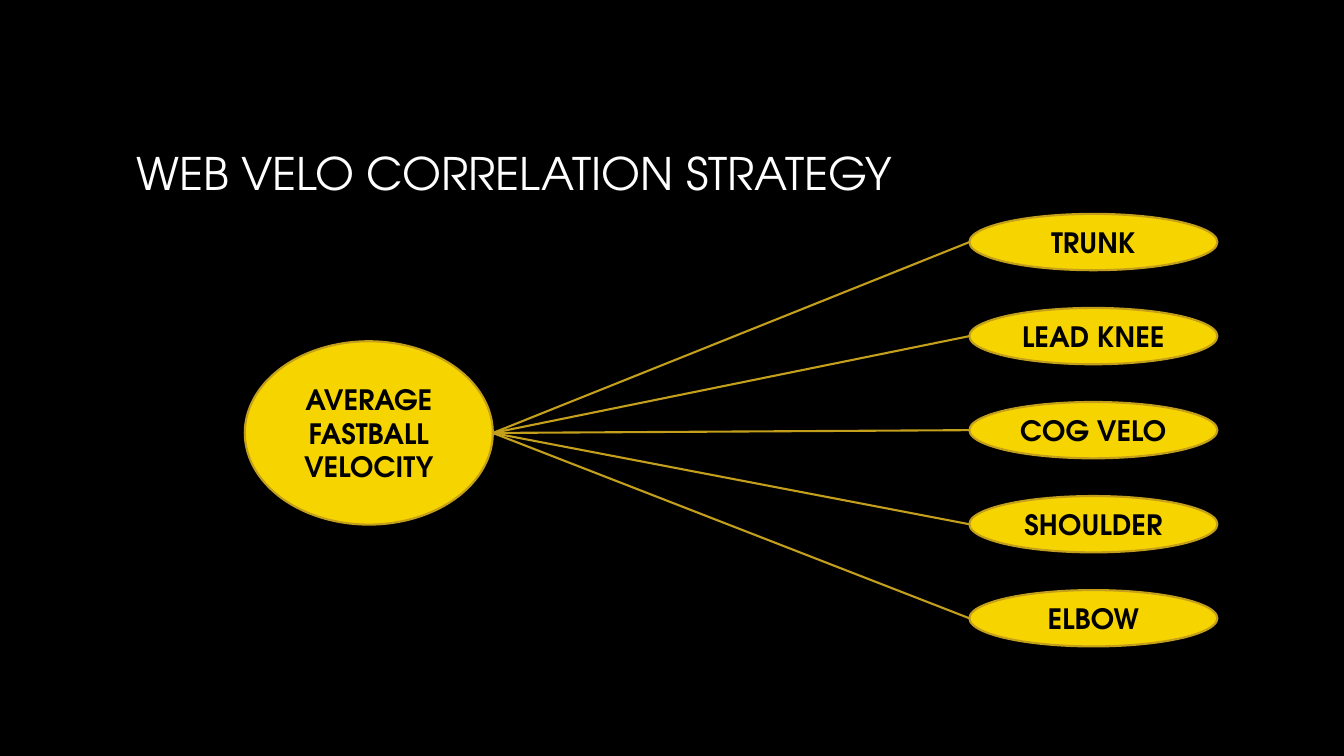
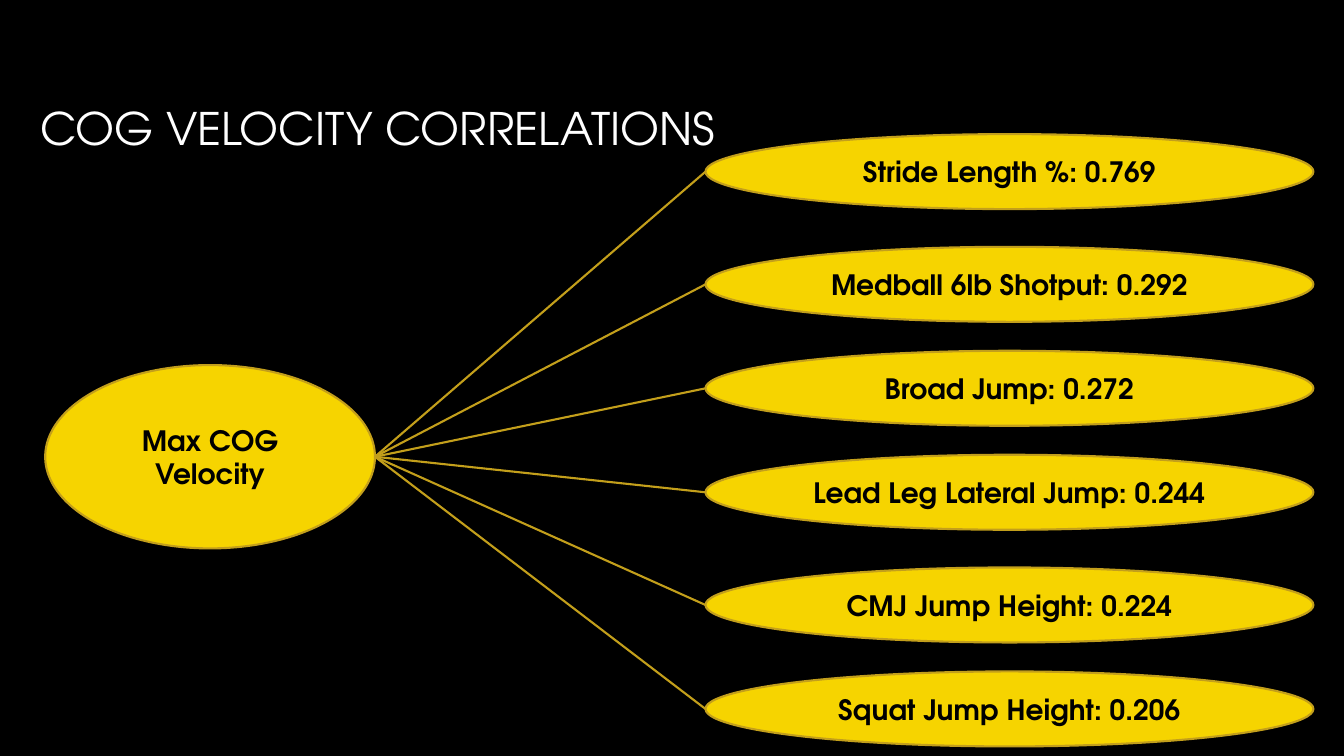
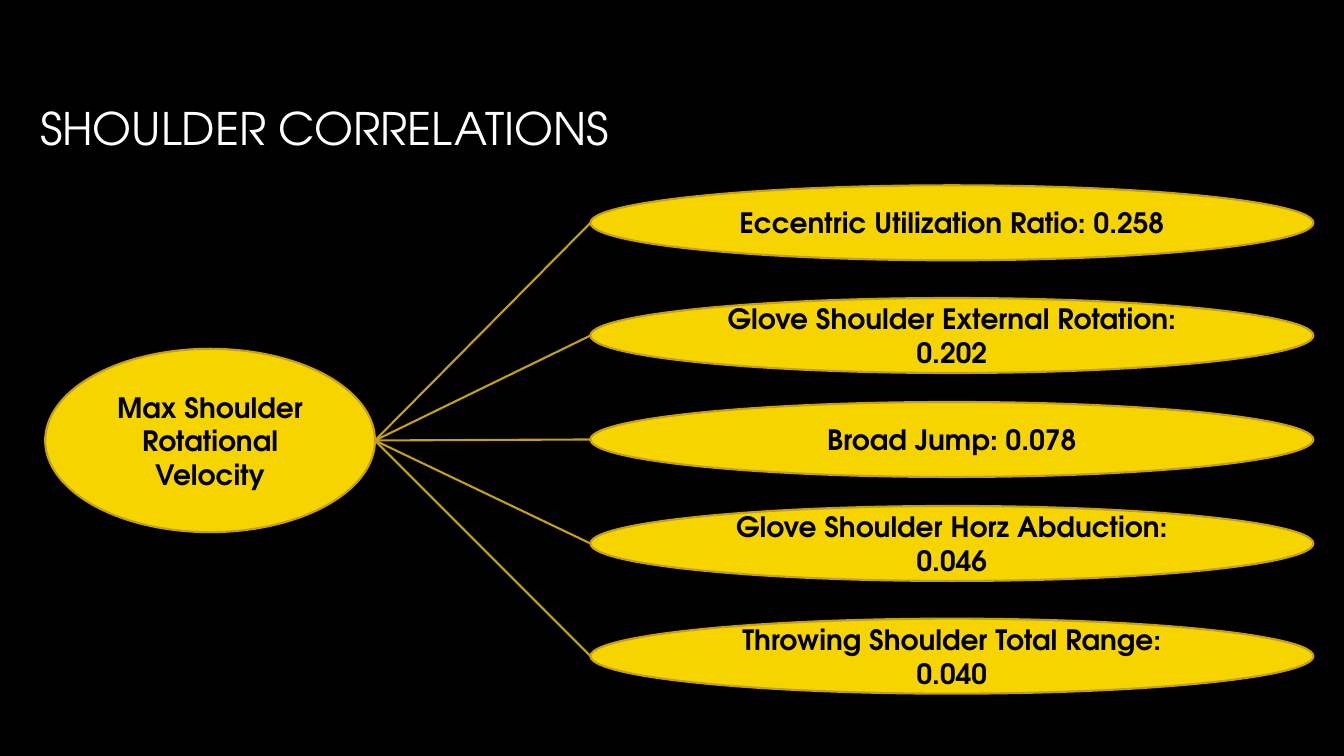
"""Build three hub-and-branch slides on pitching velocity correlations."""
from dataclasses import dataclass
from itertools import accumulate

from lxml import etree
from pptx import Presentation
from pptx.dml.color import RGBColor
from pptx.enum.shapes import MSO_CONNECTOR, MSO_SHAPE
from pptx.enum.text import MSO_ANCHOR, PP_ALIGN
from pptx.oxml.ns import qn
from pptx.util import Cm, Pt

OVAL = MSO_SHAPE.FLOWCHART_CONNECTOR
STRAIGHT = MSO_CONNECTOR.STRAIGHT
MIDDLE = MSO_ANCHOR.MIDDLE
LEFT = PP_ALIGN.LEFT
CENTER = PP_ALIGN.CENTER
BLANK_LAYOUT = 6
OVAL_LEFT_SITE = 2
OVAL_RIGHT_SITE = 6


@dataclass(frozen=True)
class Theme:
    font: str = "TeX Gyre Adventor"
    background: RGBColor = RGBColor(0x00, 0x00, 0x00)
    title: RGBColor = RGBColor(0xFF, 0xFF, 0xFF)
    oval: RGBColor = RGBColor(0xF6, 0xD4, 0x00)
    outline: RGBColor = RGBColor(0xC3, 0x9F, 0x1B)
    label: RGBColor = RGBColor(0x00, 0x00, 0x00)
    title_size: Pt = Pt(32)
    label_size: Pt = Pt(20)
    line_width: Pt = Pt(1.5)


@dataclass(frozen=True)
class Box:
    left: float
    top: float
    width: float
    height: float

    def lengths(self) -> tuple[Cm, Cm, Cm, Cm]:
        return Cm(self.left), Cm(self.top), Cm(self.width), Cm(self.height)


@dataclass(frozen=True)
class Diagram:
    title: str
    title_left: float
    title_top: float
    hub: str
    hub_box: Box
    branches: tuple[str, ...]
    first_branch: Box
    steps: tuple[float, ...]


THEME = Theme()
EVEN_STEPS = (2.37,) * 4
RESULT_STEPS = (2.84, 2.62, 2.62, 2.84, 2.62)

DIAGRAMS = (
    Diagram(
        "WEB VELO CORRELATION STRATEGY", 3.18, 1.7,
        "AVERAGE FASTBALL\nVELOCITY", Box(6.17, 8.6, 6.25, 4.62),
        ("TRUNK", "LEAD KNEE", "COG VELO", "SHOULDER", "ELBOW"),
        Box(24.43, 5.39, 6.25, 1.42), EVEN_STEPS,
    ),
    Diagram(
        "COG VELOCITY CORRELATIONS", 0.76, 0.58,
        "Max COG Velocity", Box(1.14, 9.2, 8.31, 4.62),
        (
            "Stride Length %: 0.769",
            "Medball 6lb Shotput: 0.292",
            "Broad Jump: 0.272",
            "Lead Leg Lateral Jump: 0.244",
            "CMJ Jump Height: 0.224",
            "Squat Jump Height: 0.206",
        ),
        Box(17.78, 3.38, 15.32, 1.89), RESULT_STEPS,
    ),
    Diagram(
        "SHOULDER CORRELATIONS", 0.76, 0.58,
        "Max Shoulder Rotational Velocity", Box(1.14, 8.79, 8.31, 4.62),
        (
            "Eccentric Utilization Ratio: 0.258",
            "Glove Shoulder External Rotation: 0.202",
            "Broad Jump: 0.078",
            "Glove Shoulder Horz Abduction: 0.046",
            "Throwing Shoulder Total Range: 0.040",
        ),
        Box(14.88, 4.67, 18.22, 1.89), RESULT_STEPS,
    ),
)


def write_text(sp, text: str, size: Pt, color: RGBColor, bold: bool, align) -> None:
    tf = sp.text_frame
    tf.text = text
    tf.word_wrap = True
    tf.vertical_anchor = MIDDLE
    for p in tf.paragraphs:
        p.alignment = align
        for r in p.runs:
            r.font.name = THEME.font
            r.font.size = size
            r.font.bold = bold
            r.font.color.rgb = color


def style_line(line) -> None:
    line.color.rgb = THEME.outline
    line.width = THEME.line_width


def add_title(s, text: str, left: float, top: float) -> None:
    sp = s.shapes.add_textbox(*Box(left, top, 27.51, 5.28).lengths())
    write_text(sp, text, THEME.title_size, THEME.title, False, LEFT)


def add_oval(s, text: str, box: Box):
    sp = s.shapes.add_shape(OVAL, *box.lengths())
    sp.shadow.inherit = False
    sp.fill.solid()
    sp.fill.fore_color.rgb = THEME.oval
    style_line(sp.line)
    write_text(sp, text, THEME.label_size, THEME.label, True, CENTER)
    return sp


def add_link(s, hub, branch) -> None:
    link = s.shapes.add_connector(
        STRAIGHT,
        hub.left + hub.width, hub.top + hub.height // 2,
        branch.left, branch.top + branch.height // 2,
    )
    style_line(link.line)
    etree.SubElement(link._element.spPr, qn("a:effectLst"))
    ends = link._element.nvCxnSpPr.cNvCxnSpPr
    for tag, oval, site in (
        ("a:stCxn", hub, OVAL_RIGHT_SITE),
        ("a:endCxn", branch, OVAL_LEFT_SITE),
    ):
        etree.SubElement(ends, qn(tag), id=str(oval.shape_id), idx=str(site))


def add_diagram(prs, diagram: Diagram) -> None:
    s = prs.slides.add_slide(prs.slide_layouts[BLANK_LAYOUT])
    add_title(s, diagram.title, diagram.title_left, diagram.title_top)
    hub = add_oval(s, diagram.hub, diagram.hub_box)
    first = diagram.first_branch
    tops = accumulate(diagram.steps, initial=first.top)
    branches = [
        add_oval(s, text, Box(first.left, top, first.width, first.height))
        for text, top in zip(diagram.branches, tops)
    ]
    for branch in branches:
        add_link(s, hub, branch)


def main() -> None:
    prs = Presentation()
    prs.slide_width, prs.slide_height = Cm(33.87), Cm(19.05)
    fill = prs.slide_master.background.fill
    fill.solid()
    fill.fore_color.rgb = THEME.background
    for diagram in DIAGRAMS:
        add_diagram(prs, diagram)
    prs.save("out.pptx")


if __name__ == "__main__":
    main()
